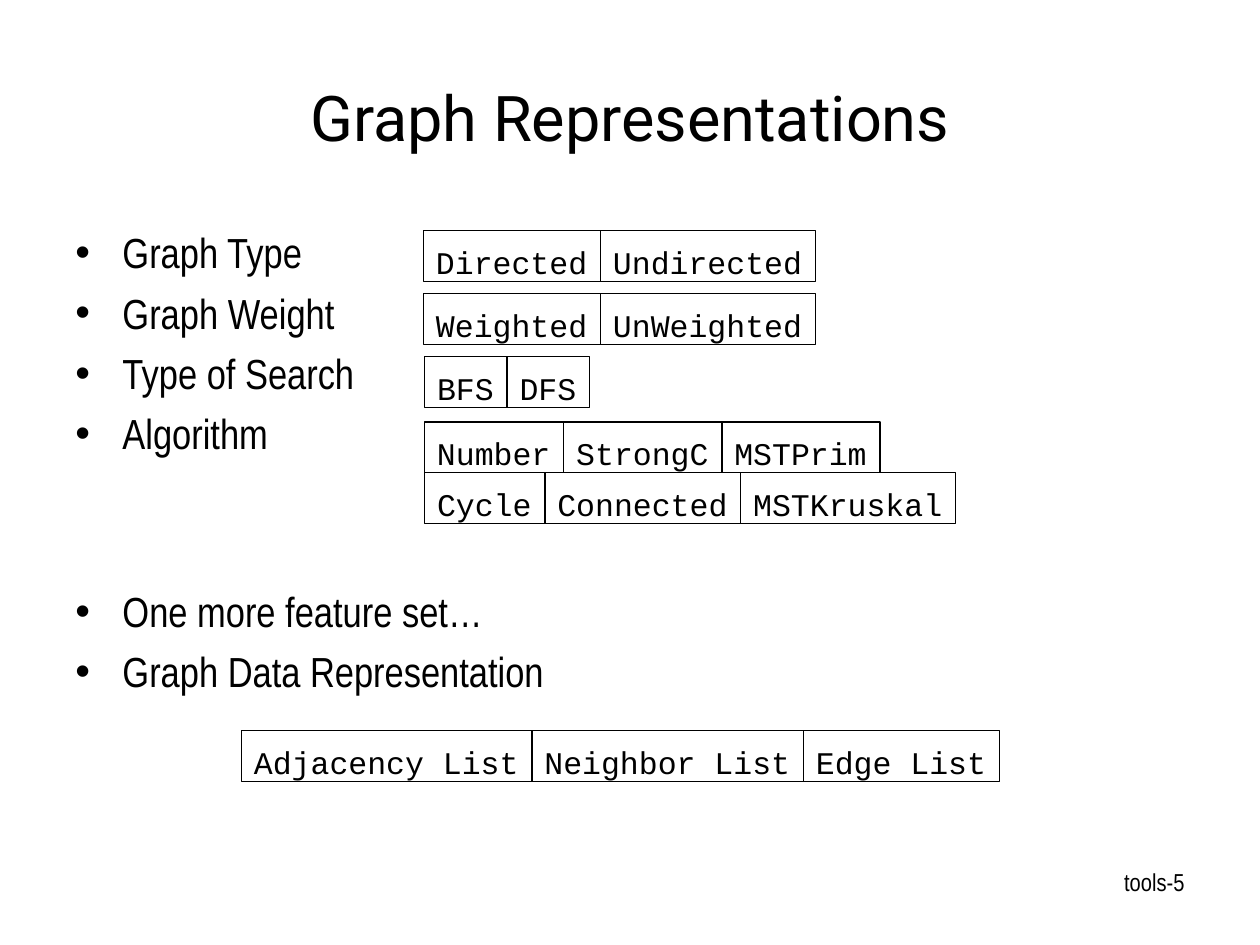
from dataclasses import dataclass
from typing import Any

from lxml import etree
from pptx import Presentation
from pptx import util as u
from pptx.dml.color import RGBColor
from pptx.enum import shapes, text
from pptx.oxml.ns import qn


def color(value):
    return RGBColor.from_string(value)


@dataclass
class Deck:
    s: Any
    ink: str = "000000"
    title_font: str = "Roboto"
    body_font: str = "Arial Narrow"
    code_font: str = "Courier New"
    char_width: float = 0.381
    cell_padding: float = 0.52
    cell_height: float = 1.02

    def run(self, p, words, font, size):
        r = p.add_run()
        r.text = words
        r.font.name = font
        r.font.size = u.Pt(size)
        r.font.color.rgb = color(self.ink)

    def frame(self, left, top, width, height):
        sp = self.s.shapes.add_textbox(u.Cm(left), u.Cm(top), u.Cm(width), u.Cm(height))
        tf = sp.text_frame
        tf.word_wrap = True
        return tf

    def label(self, words, box, font, size, align, anchor=text.MSO_ANCHOR.TOP):
        tf = self.frame(*box)
        tf.vertical_anchor = anchor
        p = tf.paragraphs[0]
        p.alignment = align
        self.run(p, words, font, size)

    def bullets(self, items, box):
        tf = self.frame(*box)
        for i, (words, before) in enumerate(items):
            p = tf.add_paragraph() if i else tf.paragraphs[0]
            p.space_before = u.Pt(before)
            self.run(p, words, self.body_font, 24)
            pr = p._p.get_or_add_pPr()
            pr.set("marL", str(u.Cm(0.95)))
            pr.set("indent", str(-u.Cm(0.95)))
            etree.SubElement(pr, qn("a:buFont"), typeface="Arial")
            etree.SubElement(pr, qn("a:buChar"), char="•")

    def cell(self, words, left, top, width):
        sp = self.s.shapes.add_shape(
            shapes.MSO_SHAPE.RECTANGLE,
            u.Cm(left), u.Cm(top), u.Cm(width), u.Cm(self.cell_height),
        )
        sp.shadow.inherit = False
        sp.fill.background()
        sp.line.color.rgb = color(self.ink)
        sp.line.width = u.Pt(0.75)
        tf = sp.text_frame
        tf.word_wrap = False
        tf.vertical_anchor = text.MSO_ANCHOR.TOP
        tf.margin_top = u.Cm(0.24)
        tf.margin_bottom = 0
        p = tf.paragraphs[0]
        p.alignment = text.PP_ALIGN.LEFT
        self.run(p, words, self.code_font, 18)

    def row(self, options, left, top):
        for words in options:
            width = self.cell_padding + self.char_width * len(words)
            self.cell(words, left, top, width)
            left += width


def main():
    prs = Presentation()
    prs.slide_width, prs.slide_height = u.Cm(25.4), u.Cm(19.05)
    deck = Deck(prs.slides.add_slide(prs.slide_layouts[6]))

    deck.label("Graph Representations", (0, 0.76, 25.4, 3.18), deck.title_font, 36,
               text.PP_ALIGN.CENTER, text.MSO_ANCHOR.MIDDLE)
    deck.bullets(
        [
            ("Graph Type", 0),
            ("Graph Weight", 5.6),
            ("Type of Search", 5.6),
            ("Algorithm", 5.6),
            ("One more feature set…", 73),
            ("Graph Data Representation", 5.6),
        ],
        (1.27, 4.45, 22.86, 12.57),
    )
    rows = [
        (8.54, 4.65, ["Directed", "Undirected"]),
        (8.54, 5.92, ["Weighted", "UnWeighted"]),
        (8.56, 7.19, ["BFS", "DFS"]),
        (8.56, 8.51, ["Number", "StrongC", "MSTPrim"]),
        (8.56, 9.53, ["Cycle", "Connected", "MSTKruskal"]),
        (4.87, 14.73, ["Adjacency List", "Neighbor List", "Edge List"]),
    ]
    for left, top, options in rows:
        deck.row(options, left, top)
    deck.label("tools-5", (18.21, 17.35, 5.92, 1.32), deck.body_font, 14, text.PP_ALIGN.RIGHT)
    prs.save("out.pptx")


if __name__ == "__main__":
    main()
